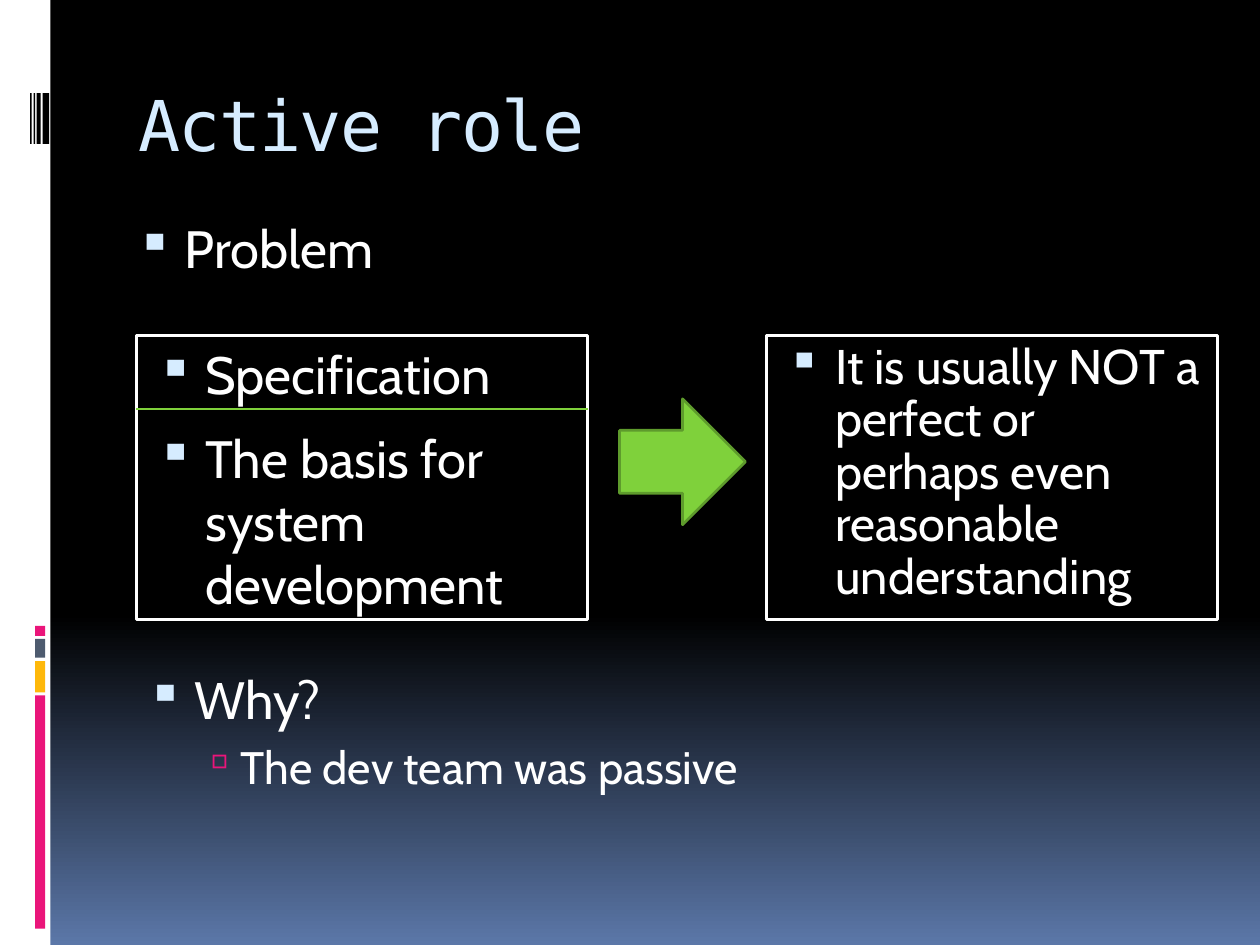
from pptx import Presentation, util as u
from pptx.dml.color import RGBColor
from pptx.enum import shapes, text
from pptx.oxml.ns import qn
from lxml import etree

BLACK = RGBColor(0x00, 0x00, 0x00)
WHITE = RGBColor(0xFF, 0xFF, 0xFF)
PALE_BLUE = RGBColor(0xD6, 0xEC, 0xFF)
STEEL_BLUE = RGBColor(0x5B, 0x77, 0xA8)
SLATE = RGBColor(0x4E, 0x5B, 0x6F)
PINK = RGBColor(0xEA, 0x15, 0x7A)
AMBER = RGBColor(0xFE, 0xB8, 0x0A)
GREEN = RGBColor(0x7F, 0xD1, 0x3B)
DARK_GREEN = RGBColor(0x5E, 0x9B, 0x2C)


class SlideBuilder:
    """Draws styled elements on one slide, with lengths in centimetres."""

    body_font = "Cabin"
    title_font = "DejaVu Sans Mono"
    levels = (("▪", PALE_BLUE, 95, 1.14, -0.97, 7), ("▫", PINK, 90, 2.06, -0.79, 5.2))

    def __init__(self, slide):
        self.slide = slide

    def background(self, top, bottom, start):
        fill = self.slide.background.fill
        fill.gradient()
        fill.gradient_angle = 270
        for stop, color, position in zip(fill.gradient_stops, (top, bottom), (start, 1)):
            stop.color.rgb = color
            stop.position = position

    def shape(self, kind, area, fill=None, line=None):
        shape = self.slide.shapes.add_shape(kind, *map(u.Cm, area))
        shape.shadow.inherit = False
        if fill is None:
            shape.fill.background()
        else:
            shape.fill.solid()
            shape.fill.fore_color.rgb = fill
        if line is None:
            shape.line.fill.background()
        else:
            shape.line.color.rgb = line
            shape.line.width = u.Pt(1.5)
        return shape

    def bar(self, area, color):
        return self.shape(shapes.MSO_SHAPE.RECTANGLE, area, fill=color)

    def frame(self, area, content, size=30, spacing=None):
        box = self.shape(shapes.MSO_SHAPE.RECTANGLE, area, line=WHITE)
        self.bullets(box, [(content, 0, size)], spacing)

    def text_box(self, area):
        return self.slide.shapes.add_textbox(*map(u.Cm, area))

    def list_box(self, area, *items):
        self.bullets(self.text_box(area), items)

    def bullets(self, box, items, spacing=None):
        frame = self.prepare(box)
        for index, (content, level, size) in enumerate(items):
            para = frame.add_paragraph() if index else frame.paragraphs[0]
            symbol, color, percent, margin, indent, before = self.levels[level]
            para.text = content
            para.level = level
            para.alignment = text.PP_ALIGN.LEFT
            para.space_before = u.Pt(before)
            if spacing:
                para.line_spacing = spacing
            props = para._p.get_or_add_pPr()
            props.set("marL", str(u.Cm(margin)))
            props.set("indent", str(u.Cm(indent)))
            tint = etree.SubElement(props, qn("a:buClr"))
            etree.SubElement(tint, qn("a:srgbClr"), val=str(color))
            etree.SubElement(props, qn("a:buSzPct"), val=str(percent * 1000))
            etree.SubElement(props, qn("a:buChar"), char=symbol)
            self.style(para, self.body_font, size, WHITE)

    def title(self, area, content):
        frame = self.prepare(self.text_box(area))
        frame.margin_top = u.Cm(0.23)
        para = frame.paragraphs[0]
        para.text = content
        self.style(para, self.title_font, 40, PALE_BLUE)
        para.runs[0]._r.get_or_add_rPr().set("spc", "-100")

    def prepare(self, box):
        frame = box.text_frame
        frame.word_wrap = True
        frame.vertical_anchor = text.MSO_ANCHOR.TOP
        return frame

    def style(self, para, name, size, color):
        para.font.name = name
        para.font.size = u.Pt(size)
        para.font.color.rgb = color

    def divider(self, left, right, top, color):
        line = self.slide.shapes.add_connector(
            shapes.MSO_CONNECTOR.STRAIGHT, u.Cm(left), u.Cm(top), u.Cm(right), u.Cm(top))
        line.line.color.rgb = color
        line.line.width = u.Pt(0.94)
        etree.SubElement(line._element.spPr, qn("a:effectLst"))


def main():
    deck = Presentation()
    deck.slide_width, deck.slide_height = u.Cm(25.4), u.Cm(19.05)
    page = SlideBuilder(deck.slides.add_slide(deck.slide_layouts[6]))
    page.background(BLACK, STEEL_BLUE, 0.65)

    page.bar((0, 0, 1.02, 19.05), WHITE)
    for top, height, color in ((14.02, 4.7, PINK), (13.33, 0.63, AMBER),
                               (12.88, 0.38, SLATE), (12.62, 0.2, PINK)):
        page.bar((0.71, top, 0.2, height), color)
    for left, width in ((0.86, 0.13), (0.74, 0.08), (0.68, 0.03), (0.61, 0.03)):
        page.bar((left, 1.88, width, 1.02), BLACK)

    page.title((2.54, 1.42, 21.59, 2.54), "Active role")
    page.list_box((2.54, 13.33, 21.59, 3.61),
                  ("Why?", 0, 30), ("The dev team was passive", 1, 26))
    page.list_box((2.75, 8.47, 8.89, 4.95), ("The basis for system development", 0, 30))
    page.frame((2.75, 6.77, 9.1, 5.72), "Specification")
    page.divider(2.75, 11.85, 8.25, GREEN)
    page.shape(shapes.MSO_SHAPE.RIGHT_ARROW, (12.49, 8.04, 2.54, 2.54), GREEN, DARK_GREEN)
    page.frame((15.45, 6.77, 9.1, 5.72),
               "It is usually NOT a perfect or perhaps even reasonable understanding",
               size=27.8, spacing=0.9)
    page.list_box((2.33, 4.23, 21.59, 3.61), ("Problem", 0, 30))
    deck.save("out.pptx")


if __name__ == "__main__":
    main()
